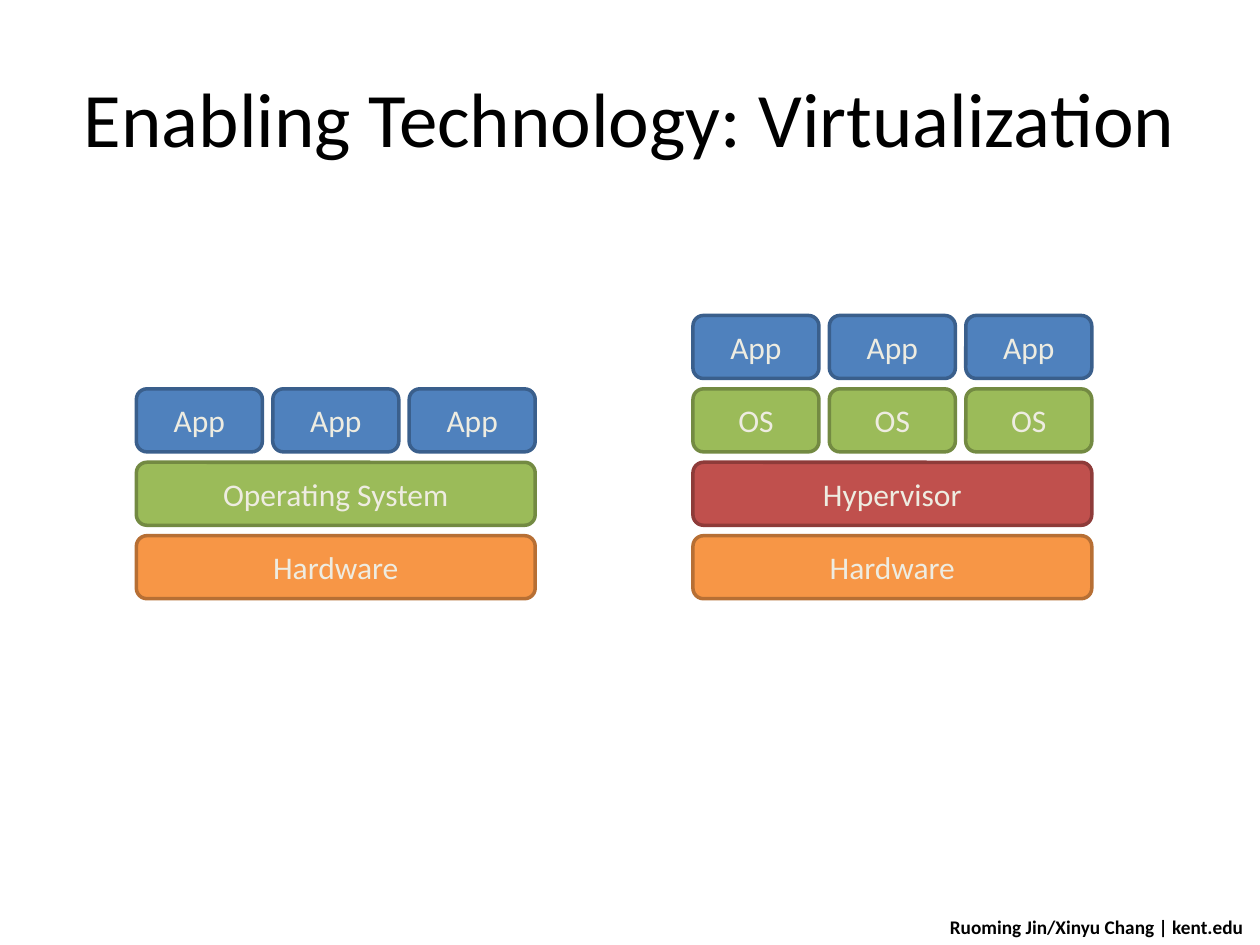
from dataclasses import dataclass

from pptx import Presentation
from pptx.dml.color import RGBColor
from pptx.enum.shapes import MSO_SHAPE as Shape
from pptx.enum.text import MSO_ANCHOR as Anchor, PP_ALIGN as Align
from pptx.util import Cm, Pt


@dataclass(frozen=True)
class Theme:
    font: str = "Calibri"
    ink: str = "000000"
    label: str = "EEECE1"
    # Each layer style is a (fill, outline) pair.
    app: tuple = ("4F81BD", "3A5F8C")
    system: tuple = ("9BBB59", "738A42")
    hypervisor: tuple = ("C0504D", "8E3B39")
    hardware: tuple = ("F79646", "B76F34")
    title_size: int = 44
    label_size: int = 18
    footer_size: int = 11
    outline: int = 2


THEME = Theme()
STACK_WIDTH = 8.04
LAYER_HEIGHT = 1.27
GAP = 0.21
BOTTOM_LAYER_TOP = 10.8

# Layers run from bottom to top: label, number of boxes, style.
NATIVE_STACK = [
    ("Hardware", 1, THEME.hardware),
    ("Operating System", 1, THEME.system),
    ("App", 3, THEME.app),
]
VIRTUAL_STACK = [
    ("Hardware", 1, THEME.hardware),
    ("Hypervisor", 1, THEME.hypervisor),
    ("OS", 3, THEME.system),
    ("App", 3, THEME.app),
]


def write(box, text, size, color, align=Align.CENTER, bold=False):
    frame = box.text_frame
    frame.vertical_anchor = Anchor.MIDDLE
    para = frame.paragraphs[0]
    para.alignment = align
    span = para.add_run()
    span.text = text
    span.font.name = THEME.font
    span.font.size = Pt(size)
    span.font.bold = bold
    span.font.color.rgb = RGBColor.from_string(color)


def add_text(page, left, top, width, height, text, size, wrap=True, **style):
    box = page.shapes.add_textbox(Cm(left), Cm(top), Cm(width), Cm(height))
    box.text_frame.word_wrap = wrap
    write(box, text, size, THEME.ink, **style)


def add_block(group, left, top, width, label, style):
    fill, outline = style
    block = group.shapes.add_shape(
        Shape.ROUNDED_RECTANGLE, Cm(left), Cm(top), Cm(width), Cm(LAYER_HEIGHT)
    )
    block.shadow.inherit = False
    block.fill.solid()
    block.fill.fore_color.rgb = RGBColor.from_string(fill)
    block.line.color.rgb = RGBColor.from_string(outline)
    block.line.width = Pt(THEME.outline)
    block.text_frame.word_wrap = True
    write(block, label, THEME.label_size, THEME.label)


def add_stack(page, left, layers):
    """Pile the layers upwards, splitting each into equal boxes."""
    group = page.shapes.add_group_shape()
    for level, (label, count, style) in enumerate(layers):
        top = BOTTOM_LAYER_TOP - level * (LAYER_HEIGHT + GAP)
        width = (STACK_WIDTH - (count - 1) * GAP) / count
        for column in range(count):
            add_block(group, left + column * (width + GAP), top, width, label, style)


def main():
    deck = Presentation()
    deck.slide_width, deck.slide_height = Cm(25.4), Cm(19.05)
    page = deck.slides.add_slide(deck.slide_layouts[6])
    add_text(page, 18.9, 18.31, 6.5, 0.74, "Ruoming Jin/Xinyu Chang | kent.edu",
             THEME.footer_size, wrap=False, align=Align.LEFT, bold=True)
    add_text(page, 1.27, 0.76, 22.86, 3.18, "Enabling Technology: Virtualization",
             THEME.title_size)
    add_stack(page, 2.75, NATIVE_STACK)
    add_stack(page, 13.97, VIRTUAL_STACK)
    deck.save("out.pptx")


if __name__ == "__main__":
    main()
